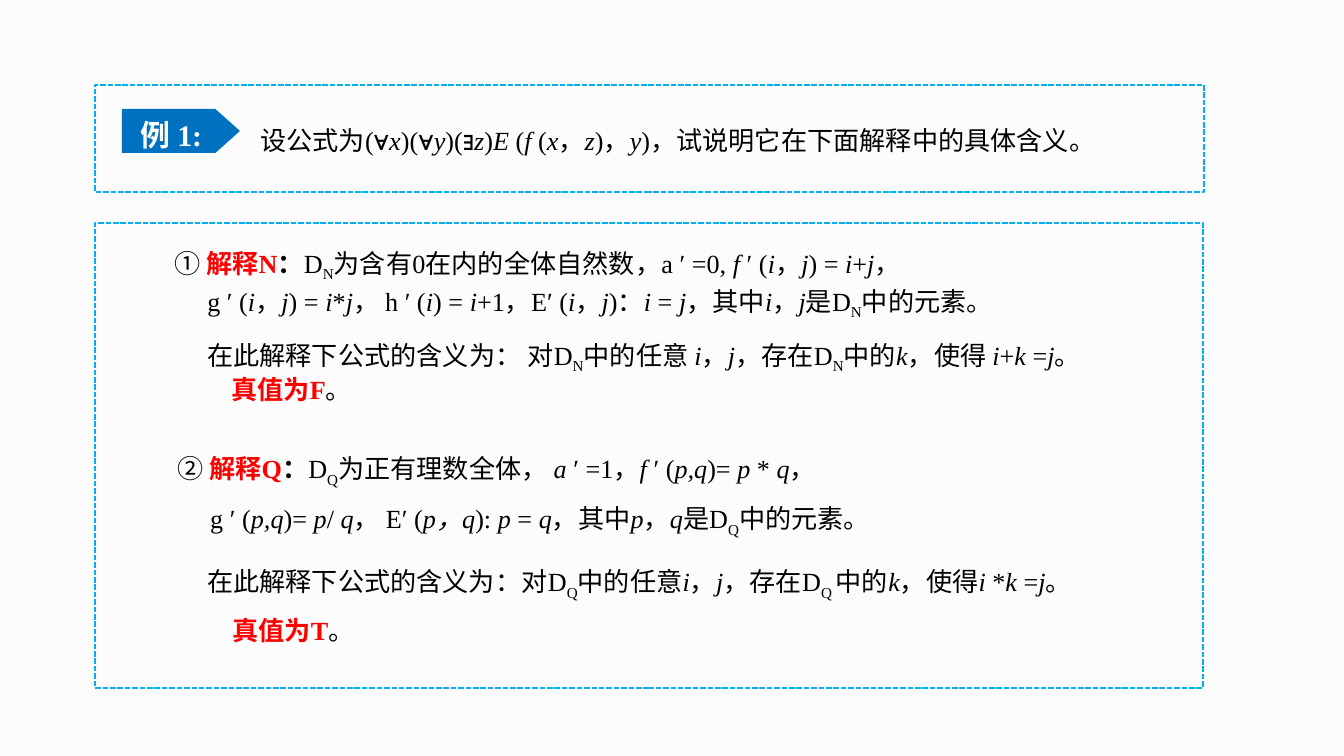
from pptx import Presentation, util as u
from pptx.dml.color import RGBColor
from pptx.enum import dml, shapes, text

PX = 914400 / 134.4
FONT = "Times New Roman"
COLORS = {"page": "FCFCFC", "tag": "0070C0", "frame": "00B0F0",
          "white": "FFFFFF", "black": "000000", "red": "FF0000"}

FRAMES = [(95, 85, 1109, 107), (95, 223, 1108, 465)]
TAG = ((122, 109, 118, 44), "例 1:")

# Toggles in the text: _ italic, ~ subscript, ^ bold, # red.
# Each block: box, line spacing, [(first-line offset, text)].
HANG = 51
BLOCKS = [
    ((247, 102, 905, 55), 1.5, [
        (HANG, "设公式为(∀_x_)(∀_y_)(∃_z_)_E _(_f _(_x_，_z_)，_y_)，试说明它在下面解释中的具体含义。")]),
    ((161, 241, 927 + 20, 77), 0.9, [
        (0, "① ^#解释N#：^D~N~为含有0在内的全体自然数，a ʹ =0, _f_ ʹ (_i_，_j_) = _i_+_j_，"),
        (33, "g ʹ (_i_，_j_) = _i_*_j_， h ʹ (_i_) = _i_+1，Eʹ (_i_，_j_)：_i_ = _j_，"
             "其中_i_，_j_是D~N~中的元素。")]),
    ((194, 333, 954, 77), 0.9, [
        (0, "在此解释下公式的含义为： 对D~N~中的任意 _i_，_j_，存在D~N~中的_k_，使得 _i_+_k_ =_j_。"),
        (24, "^#真值为F#^。")]),
    ((164, 437, 1036, 103), 1.25, [
        (0, "② ^#解释Q#：^D~Q~为正有理数全体， _a _ʹ =1，_f _ʹ (_p,q_)= _p _* _q_，"),
        (33, "g ʹ (_p,q_)= _p_/ _q_， Eʹ (_p，q_): _p _= _q_，其中_p_，_q_是D~Q~中的元素。")]),
    ((187, 550, 992, 94), 1.25, [
        (7, "在此解释下公式的含义为：对D~Q~中的任意_i_，_j_，存在D~Q ~中的_k_，使得_i _*_k_ =_j_。"),
        (32, "^#真值为T#^。")]),
]


def px(n):
    return u.Emu(round(n * PX))


def color(name):
    return RGBColor.from_string(COLORS[name])


def add_runs(p, marked):
    """Split marked text at its toggles and add one run per stretch."""
    on, chunk = set(), ""
    for ch in marked + "\0":
        if ch not in "_~^#\0":
            chunk += ch
            continue
        if chunk:
            r = p.add_run()
            r.text = chunk
            if "_" in on:
                r.font.italic = True
            if "^" in on:
                r.font.bold = True
            if "~" in on:
                r.font._element.set("baseline", "-25000")
            r.font.color.rgb = color("red" if "#" in on else "black")
            chunk = ""
        on ^= {ch}


def add_shape(s, kind, box):
    sp = s.shapes.add_shape(kind, *map(px, box))
    sp.shadow.inherit = False
    return sp


def add_tag(s, box, label):
    sp = add_shape(s, shapes.MSO_SHAPE.PENTAGON, box)
    sp.adjustments[0] = 0.56
    sp.fill.solid()
    sp.fill.fore_color.rgb = color("tag")
    sp.line.fill.background()
    tf = sp.text_frame
    tf.margin_right = px(20)
    tf.word_wrap = False
    tf.vertical_anchor = text.MSO_ANCHOR.MIDDLE
    p = tf.paragraphs[0]
    p.text = label
    p.alignment = text.PP_ALIGN.CENTER
    p.line_spacing = 1.2
    p.font.name, p.font.size, p.font.bold = FONT, u.Pt(16), True
    p.font.color.rgb = color("white")


def add_frame(s, box):
    sp = add_shape(s, shapes.MSO_SHAPE.RECTANGLE, box)
    sp.fill.background()
    sp.line.color.rgb = color("frame")
    sp.line.width = u.Pt(1)
    sp.line.dash_style = dml.MSO_LINE.SQUARE_DOT


def add_block(s, box, spacing, lines):
    tf = s.shapes.add_textbox(*map(px, box)).text_frame
    tf.word_wrap = True
    for i, (offset, marked) in enumerate(lines):
        p = tf.add_paragraph() if i else tf.paragraphs[0]
        if len(lines) > 1:
            pPr = p._p.get_or_add_pPr()
            pPr.set("marL", str(px(HANG)))
            pPr.set("indent", str(px(offset - HANG)))
        p.line_spacing = spacing
        p.space_before = u.Pt(3 if i else 0)
        p.font.name, p.font.size = FONT, u.Pt(14)
        add_runs(p, marked)


def main():
    prs = Presentation()
    prs.slide_width, prs.slide_height = px(1344), px(756)
    s = prs.slides.add_slide(prs.slide_layouts[6])
    s.background.fill.solid()
    s.background.fill.fore_color.rgb = color("page")
    add_tag(s, *TAG)
    for box in FRAMES:
        add_frame(s, box)
    for block in BLOCKS:
        add_block(s, *block)
    prs.save("out.pptx")


if __name__ == "__main__":
    main()
